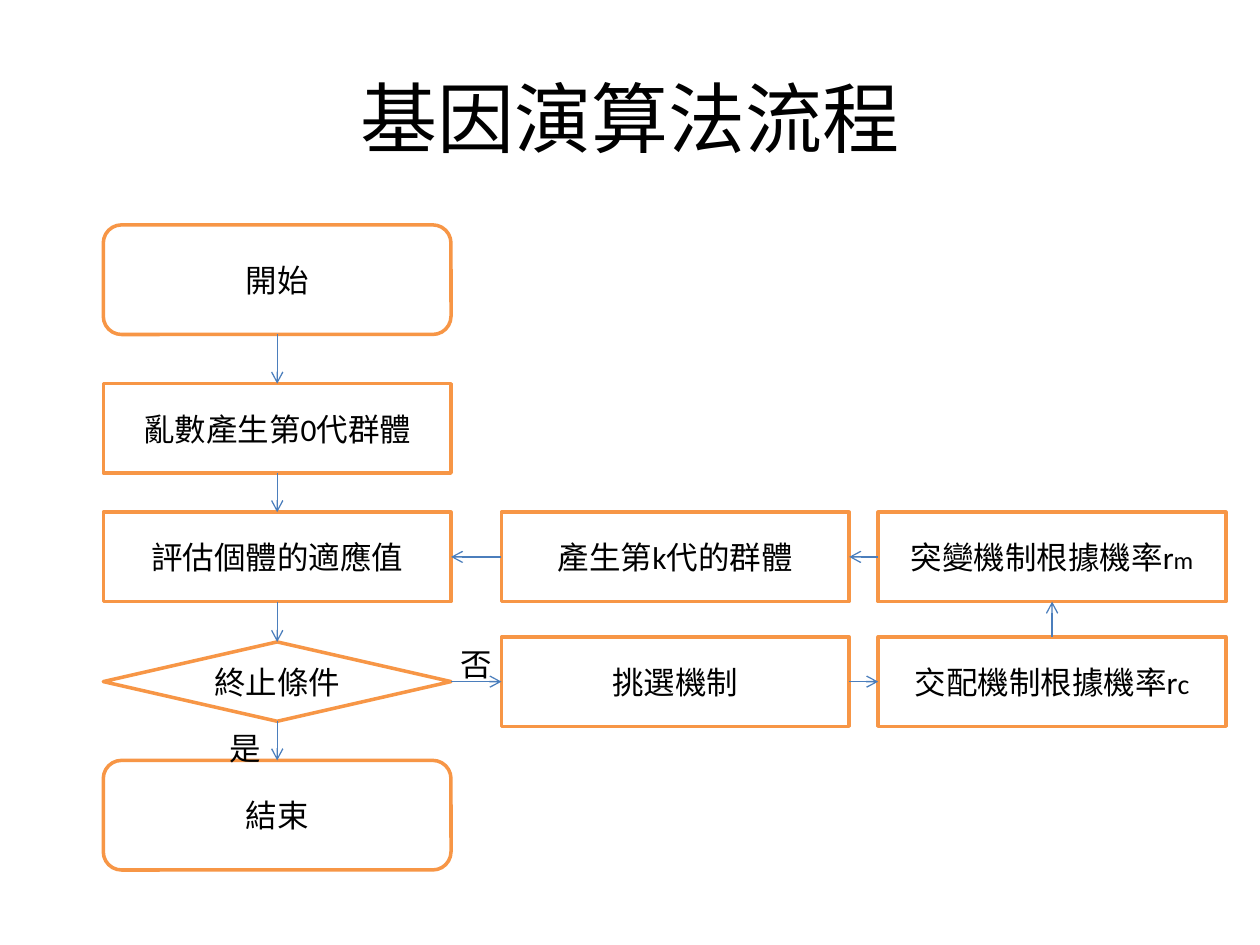
from lxml.etree import SubElement
from pptx import Presentation
from pptx.dml.color import RGBColor
from pptx.enum.shapes import MSO_CONNECTOR, MSO_SHAPE as SHAPE
from pptx.enum.text import MSO_ANCHOR, MSO_AUTO_SIZE, PP_ALIGN
from pptx.oxml.ns import qn
from pptx.util import Inches, Pt

COLORS = {"paper": "FFFFFF", "ink": "000000", "border": "F79646", "arrow": "4B7EBC"}
FONT = "Calibri"
TOP, LEFT, BOTTOM, RIGHT = range(4)

# Grid of the flow chart, in inches from its top left corner
COL_LEFTS = [0, 3.16, 6.15]
ROW_CENTRES = [0.44, 1.62, 2.64, 3.63, 4.69]
STEP_W = 2.76
HEIGHTS = {SHAPE.ROUNDED_RECTANGLE: 0.87, SHAPE.RECTANGLE: 0.71,
           SHAPE.FLOWCHART_DECISION: 0.63}

# name: (column, row, shape, [(text, size), ...])
STEPS = {
    "start": (0, 0, SHAPE.ROUNDED_RECTANGLE, [("開始", 18)]),
    "initial": (0, 1, SHAPE.RECTANGLE, [("亂數產生第0代群體", 18)]),
    "fitness": (0, 2, SHAPE.RECTANGLE, [("評估個體的適應值", 18)]),
    "stop": (0, 3, SHAPE.FLOWCHART_DECISION, [("終止條件", 18)]),
    "end": (0, 4, SHAPE.ROUNDED_RECTANGLE, [("結束", 18)]),
    "next": (1, 2, SHAPE.RECTANGLE, [("產生第k代的群體", 18)]),
    "mutate": (2, 2, SHAPE.RECTANGLE, [("突變機制根據機率r", 18), ("m", 14)]),
    "select": (1, 3, SHAPE.RECTANGLE, [("挑選機制", 18)]),
    "cross": (2, 3, SHAPE.RECTANGLE, [("交配機制根據機率r", 18), ("c", 16)]),
}
ARROWS = [
    ("start", BOTTOM, "initial", TOP),
    ("initial", BOTTOM, "fitness", TOP),
    ("fitness", BOTTOM, "stop", TOP),
    ("stop", BOTTOM, "end", TOP),
    ("next", LEFT, "fitness", RIGHT),
    ("mutate", LEFT, "next", RIGHT),
    ("cross", TOP, "mutate", BOTTOM),
    ("select", RIGHT, "cross", LEFT),
    ("stop", RIGHT, "select", LEFT),
]
# Branch labels: text, left, top
BRANCHES = [("否", 2.65, 3.27), ("是", 0.82, 3.94)]


def rgb(name):
    return RGBColor.from_string(COLORS[name])


def write(p, runs):
    for text, size in runs:
        r = p.add_run()
        r.text = text
        r.font.name = FONT
        r.font.size = Pt(size)
        r.font.color.rgb = rgb("ink")


def add_title(slide, x, y, w, h):
    tf = slide.shapes.add_textbox(*map(Inches, (x, y, w, h))).text_frame
    tf.word_wrap = True
    tf.vertical_anchor = MSO_ANCHOR.MIDDLE
    p = tf.paragraphs[0]
    p.alignment = PP_ALIGN.CENTER
    write(p, [("基因演算法流程", 44)])


def add_step(slide, x, y, col, row, kind, runs):
    h = HEIGHTS[kind]
    left, top = x + COL_LEFTS[col], y + ROW_CENTRES[row] - h / 2
    s = slide.shapes.add_shape(kind, *map(Inches, (left, top, STEP_W, h)))
    s.shadow.inherit = False
    s.fill.solid()
    s.fill.fore_color.rgb = rgb("paper")
    s.line.color.rgb = rgb("border")
    s.line.width = Pt(2)
    tf = s.text_frame
    tf.vertical_anchor = MSO_ANCHOR.MIDDLE
    p = tf.paragraphs[0]
    p.alignment = PP_ALIGN.CENTER
    write(p, runs)
    return s


def add_arrow(slide, source, out_side, target, in_side):
    c = slide.shapes.add_connector(MSO_CONNECTOR.STRAIGHT, 0, 0, 0, 0)
    c.begin_connect(source, out_side)
    c.end_connect(target, in_side)
    c.line.color.rgb = rgb("arrow")
    c.line.width = Pt(0.75)
    SubElement(c.line._get_or_add_ln(), qn("a:tailEnd"), type="arrow")
    SubElement(c._element.spPr, qn("a:effectLst"))


def add_branch_label(slide, text, x, y):
    """Adds a label set in vertical East Asian text."""
    tf = slide.shapes.add_textbox(*map(Inches, (x, y, 0.5, 0.31))).text_frame
    tf.word_wrap = True
    tf.auto_size = MSO_AUTO_SIZE.SHAPE_TO_FIT_TEXT
    tf._txBody.bodyPr.set("vert", "eaVert")
    write(tf.paragraphs[0], [(text, 18)])


def add_flow(slide, x, y):
    steps = {name: add_step(slide, x, y, *step) for name, step in STEPS.items()}
    for source, out_side, target, in_side in ARROWS:
        add_arrow(slide, steps[source], out_side, steps[target], in_side)
    for text, dx, dy in BRANCHES:
        add_branch_label(slide, text, x + dx, y + dy)


def main():
    prs = Presentation()
    prs.slide_width, prs.slide_height = Inches(10), Inches(7.5)
    slide = prs.slides.add_slide(prs.slide_layouts[6])
    add_title(slide, 0.5, 0.3, 9, 1.25)
    add_flow(slide, 0.82, 1.78)
    prs.save("out.pptx")


if __name__ == "__main__":
    main()
